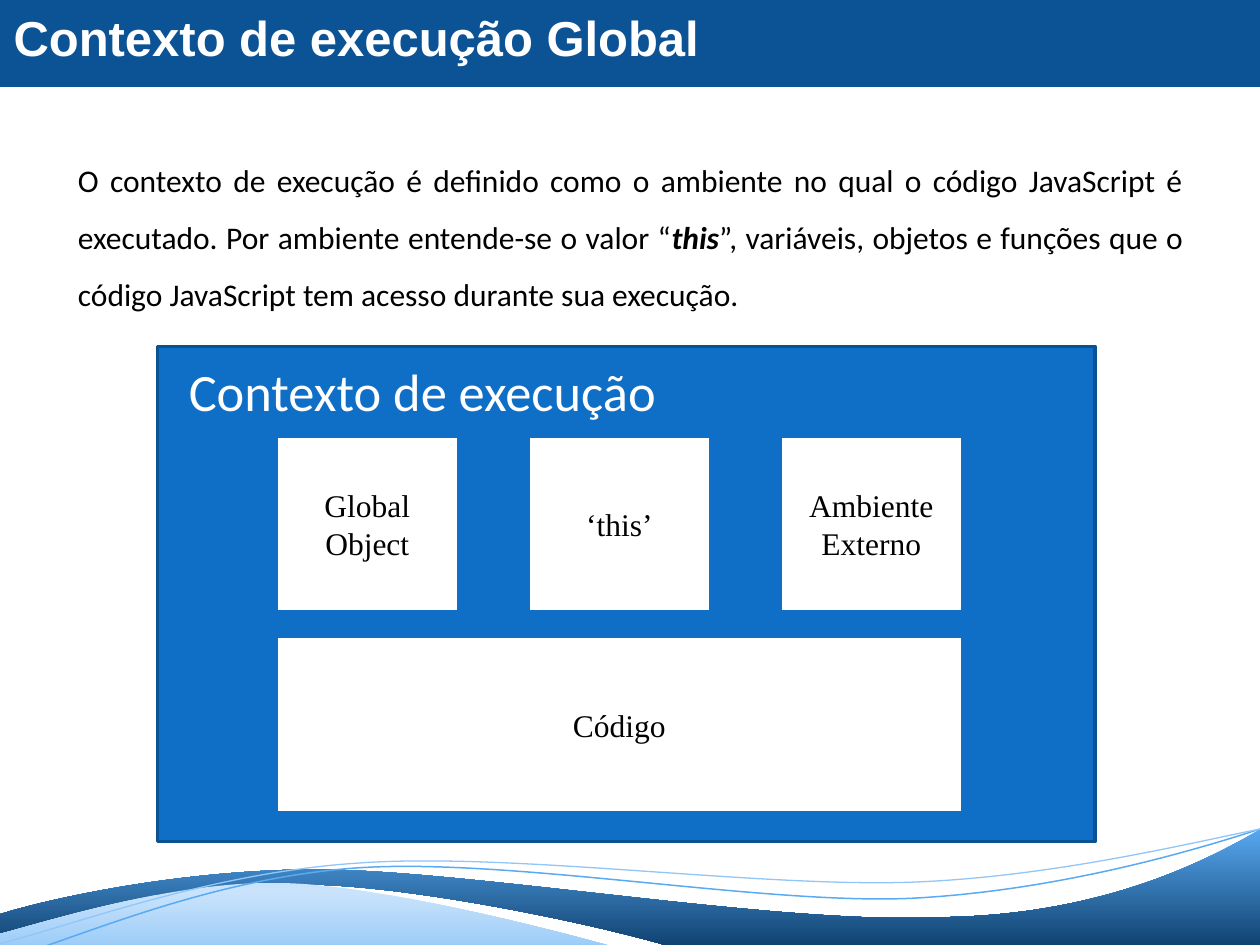
from lxml import etree
from pptx import Presentation, util as u
from pptx.dml.color import RGBColor
from pptx.enum import shapes as kinds, text
from pptx.oxml import ns

WIDTH, HEIGHT = 10, 7.5
BLUE, WHITE, BLACK = "0F6FC6", "FFFFFF", "000000"

# Grid of the components inside the context panel
COLUMNS = 3
CELL_W, CELL_H = 1.45, 1.4
GRID_X, GRID_Y = 2.19, 3.46
PITCH_X, PITCH_Y = 2, 1.59

# Footer outlines: a start point, then lines (x, y) or curves (two controls, end)
DARK_WAVE = [(10.03, 7.6), (5.6, 7.61),
             (5.24, 7.44, 3.35, 7.02, 2.4, 7.02),
             (1.45, 7.02, 0.39, 7.36, -0.03, 7.52), (-0.04, 7.27),
             (0.14, 7.2, 1.28, 6.9, 2.53, 6.9),
             (3.77, 6.91, 6.19, 7.34, 7.44, 7.28),
             (8.73, 7.27, 9.57, 6.84, 10.04, 6.56)]
PALE_WAVE = [(5.21, 7.62), (4.91, 7.51, 3.17, 7.04, 2.3, 7.01),
             (1.43, 6.97, 0.36, 7.32, -0.03, 7.42), (-0.03, 7.61)]
LOWER_THREAD = [(10.03, 6.57), (9.54, 6.73, 8.43, 7.07, 7.22, 7.13),
                (6.02, 7.18, 4.02, 6.8, 2.81, 6.89),
                (1.59, 6.98, 0.52, 7.49, -0.08, 7.65)]
UPPER_THREAD = [(10.16, 6.55), (9.68, 6.63, 8.49, 6.95, 7.27, 7),
                (6.05, 7.05, 4.06, 6.76, 2.84, 6.85),
                (1.62, 6.93, 0.55, 7.36, -0.05, 7.5)]


def color(hex_value):
    return RGBColor.from_string(hex_value)


def set_line(shape, line):
    if line:
        shape.line.color.rgb = color(line[0])
        shape.line.width = u.Pt(line[1])
    else:
        shape.line.fill.background()


def add_run(paragraph, words, size, font, hex_value, bold=False, italic=False):
    run = paragraph.add_run()
    run.text = words
    run.font.size, run.font.name = u.Pt(size), font
    run.font.color.rgb = color(hex_value)
    run.font.bold, run.font.italic = bold, italic


def add_box(slide, left, top, width, height, fill, line=None):
    box = slide.shapes.add_shape(kinds.MSO_SHAPE.RECTANGLE,
                                 *map(u.Inches, (left, top, width, height)))
    box.shadow.inherit = False
    box.fill.solid()
    box.fill.fore_color.rgb = color(fill)
    set_line(box, line)
    return box


def add_component(slide, column, row, label, span=1):
    box = add_box(slide, GRID_X + column * PITCH_X, GRID_Y + row * PITCH_Y,
                  CELL_W + (span - 1) * PITCH_X, CELL_H, WHITE, (BLUE, 2))
    frame = box.text_frame
    frame.word_wrap = True
    frame.vertical_anchor = text.MSO_ANCHOR.MIDDLE
    paragraph = frame.paragraphs[0]
    paragraph.alignment = text.PP_ALIGN.CENTER
    add_run(paragraph, label, 18, "Times New Roman", BLACK)


def add_text(slide, left, top, width, height, align, wrap=True):
    frame = slide.shapes.add_textbox(
        *map(u.Inches, (left, top, width, height))).text_frame
    frame.word_wrap = wrap
    frame.paragraphs[0].alignment = align
    return frame


def add_curve(slide, outline, closed=False, line=None):
    points = [(u.Inches(seg[i]), u.Inches(seg[i + 1]))
              for seg in outline for i in range(0, len(seg), 2)]
    builder = slide.shapes.build_freeform(*points[0])
    builder.add_line_segments(points[1:], close=closed)
    shape = builder.convert_to_shape()
    shape.shadow.inherit = False
    set_line(shape, line)
    # Merge each three straight steps of a curved segment into one Bézier
    steps = iter(shape._element.findall(".//" + ns.qn("a:lnTo")))
    for seg in outline[1:]:
        first = next(steps)
        if len(seg) == 6:
            bezier = etree.Element(ns.qn("a:cubicBezTo"))
            first.addprevious(bezier)
            for step in (first, next(steps), next(steps)):
                bezier.append(step[0])
                step.getparent().remove(step)
    return shape


def add_wave(slide, outline, top_color, bottom_color, top_stop=0):
    fill = add_curve(slide, outline, closed=True).fill
    fill.gradient()
    fill.gradient_angle = 270
    upper, lower = fill.gradient_stops
    upper.color.rgb, upper.position = color(top_color), top_stop
    lower.color.rgb, lower.position = color(bottom_color), 1


def add_thread(slide, outline, line):
    add_curve(slide, outline, line=line).fill.background()


def main():
    prs = Presentation()
    prs.slide_width, prs.slide_height = u.Inches(WIDTH), u.Inches(HEIGHT)
    slide = prs.slides.add_slide(prs.slide_layouts[6])

    # Footer waves
    add_wave(slide, DARK_WAVE, "59AAF2", "083763")
    add_wave(slide, PALE_WAVE, "C8E3FB", "91C6F7", top_stop=0.18)
    add_thread(slide, LOWER_THREAD, ("59AAF2", 0.85))
    add_thread(slide, UPPER_THREAD, ("91C6F7", 0.75))

    # Title band
    add_box(slide, 0, 0, WIDTH, 0.69, "0B5394")
    title = add_text(slide, 0.01, 0, WIDTH - 0.01, 0.53, text.PP_ALIGN.LEFT)
    title.margin_top = title.margin_bottom = 0
    title.vertical_anchor = text.MSO_ANCHOR.BOTTOM
    add_run(title.paragraphs[0], "Contexto de execução Global",
            28, "Arial", WHITE, bold=True)

    # Definition
    definition = add_text(slide, 0.52, 1.08, 8.97, 1.42,
                          text.PP_ALIGN.JUSTIFY).paragraphs[0]
    definition.line_spacing = 1.5
    body = (18, "Calibri", BLACK)
    add_run(definition, "O contexto de execução é definido como o ambiente no "
            "qual o código JavaScript é executado. Por ambiente entende-se o "
            "valor “", *body)
    add_run(definition, "this", *body, bold=True, italic=True)
    add_run(definition, "”, variáveis, objetos e funções que o código "
            "JavaScript tem acesso durante sua execução.", *body)

    # Context panel and its components
    add_box(slide, 1.25, 2.75, 7.44, 3.93, BLUE, ("0B5292", 2))
    heading = add_text(slide, 1.4, 2.8, 4.23, 0.61, text.PP_ALIGN.JUSTIFY,
                       wrap=False)
    add_run(heading.paragraphs[0], "Contexto de execução", 30, "Calibri", WHITE)
    for column, label in enumerate(("Global Object", "‘this’",
                                    "Ambiente Externo")):
        add_component(slide, column, 0, label)
    add_component(slide, 0, 1, "Código", span=COLUMNS)

    prs.save("out.pptx")


if __name__ == "__main__":
    main()
